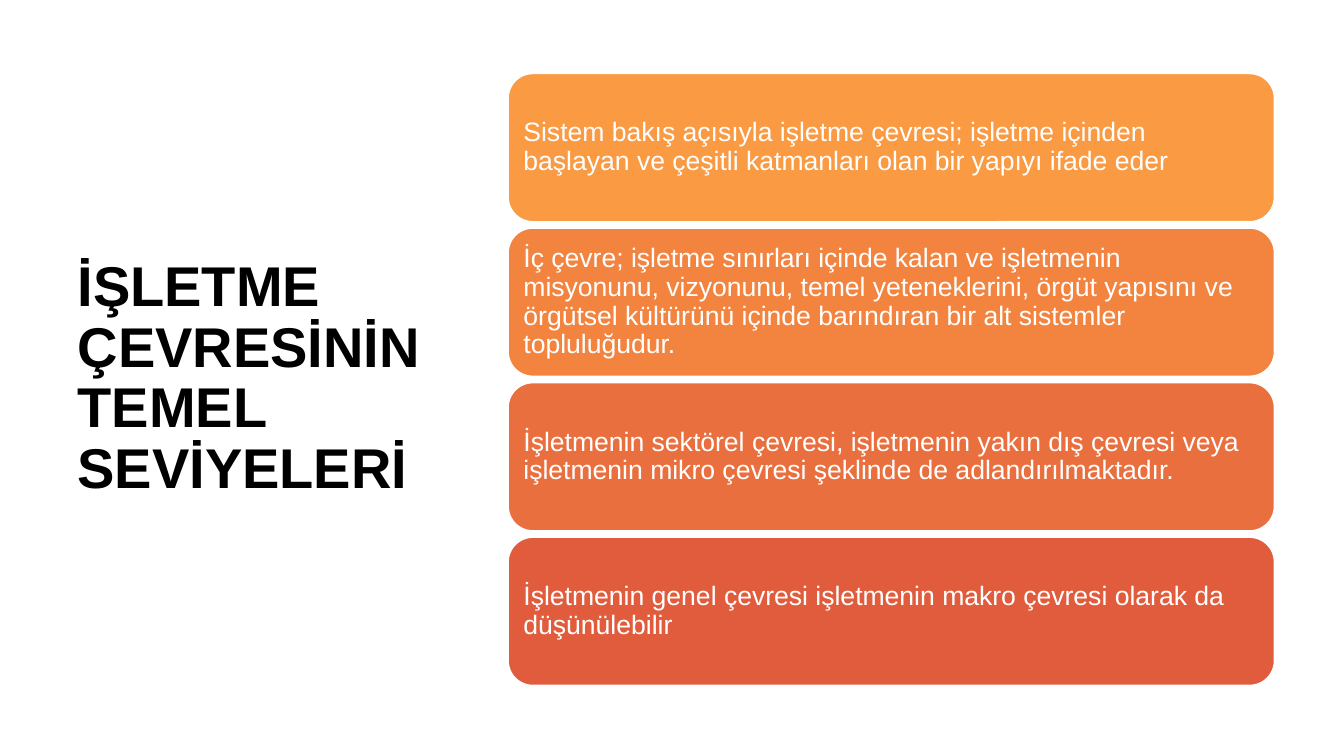
import pptx
import pptx.util
import pptx.dml.color
import pptx.enum.shapes
import pptx.enum.text

RGBColor = pptx.dml.color.RGBColor
BLACK = RGBColor(0x00, 0x00, 0x00)
WHITE = RGBColor(0xFF, 0xFF, 0xFF)
AMBER = RGBColor(0xFA, 0x9A, 0x42)
ORANGE = RGBColor(0xF2, 0x84, 0x40)
RUST = RGBColor(0xEA, 0x6F, 0x3E)
RED = RGBColor(0xE1, 0x5C, 0x3D)

FONT = "Arial"
PX_PER_INCH = 100
CARD_HEIGHT = 147
CARD_INSET = 8

TITLE = "İŞLETME ÇEVRESİNİN TEMEL SEVİYELERİ"
LEVELS = [
    ("Sistem bakış açısıyla işletme çevresi; işletme içinden başlayan ve "
     "çeşitli katmanları olan bir yapıyı ifade eder", AMBER),
    ("İç çevre; işletme sınırları içinde kalan ve işletmenin misyonunu, "
     "vizyonunu, temel yeteneklerini, örgüt yapısını ve örgütsel kültürünü "
     "içinde barındıran bir alt sistemler topluluğudur.", ORANGE),
    ("İşletmenin sektörel çevresi, işletmenin yakın dış çevresi veya "
     "işletmenin mikro çevresi şeklinde de adlandırılmaktadır.", RUST),
    ("İşletmenin genel çevresi işletmenin makro çevresi olarak da "
     "düşünülebilir", RED),
]


def px(n):
    return pptx.util.Emu(round(n * 914400 / PX_PER_INCH))


def write(tf, text, size, color, bold=False):
    tf.word_wrap = True
    tf.auto_size = pptx.enum.text.MSO_AUTO_SIZE.NONE
    tf.vertical_anchor = pptx.enum.text.MSO_ANCHOR.MIDDLE
    p = tf.paragraphs[0]
    p.alignment = pptx.enum.text.PP_ALIGN.LEFT
    p.line_spacing = 0.9
    r = p.add_run()
    r.text = text
    r.font.name = FONT
    r.font.size = pptx.util.Pt(size)
    r.font.bold = bold
    r.font.color.rgb = color


def add_title(slide, x, y, w, h):
    sp = slide.shapes.title
    sp.left, sp.top, sp.width, sp.height = px(x), px(y), px(w), px(h)
    write(sp.text_frame, TITLE, 40, BLACK, bold=True)


def add_card(slide, x, y, w, h, text, color):
    sp = slide.shapes.add_shape(
        pptx.enum.shapes.MSO_SHAPE.ROUNDED_RECTANGLE, px(x), px(y), px(w), px(h))
    sp.shadow.inherit = False
    sp.fill.solid()
    sp.fill.fore_color.rgb = color
    sp.line.color.rgb = WHITE
    sp.line.width = pptx.util.Pt(1)
    tf = sp.text_frame
    tf.margin_left = tf.margin_right = px(CARD_INSET)
    tf.margin_top = tf.margin_bottom = px(CARD_INSET)
    write(tf, text, 19, WHITE)


def add_levels(slide, x, y, w, h):
    pitch = (h - CARD_HEIGHT) / (len(LEVELS) - 1)
    for i, (text, color) in enumerate(LEVELS):
        add_card(slide, x, y + i * pitch, w, CARD_HEIGHT, text, color)


def main():
    prs = pptx.Presentation()
    prs.slide_width = pptx.util.Inches(13.33)
    prs.slide_height = pptx.util.Inches(7.5)
    slide = prs.slides.add_slide(prs.slide_layouts.get_by_name("Title Only"))
    add_title(slide, 67, 60, 382, 633)
    add_levels(slide, 504, 73, 760, 607)
    prs.save("out.pptx")


if __name__ == "__main__":
    main()
